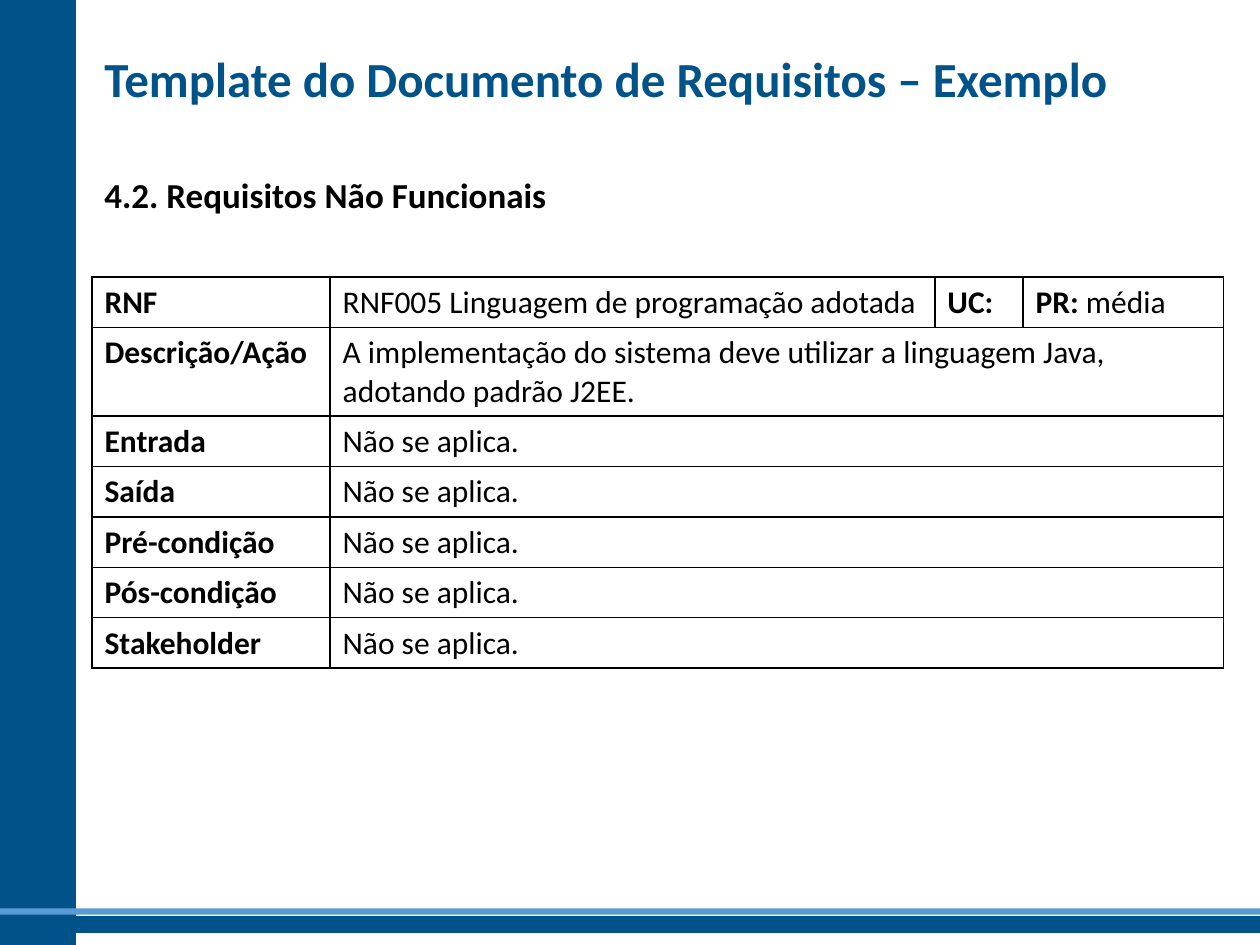
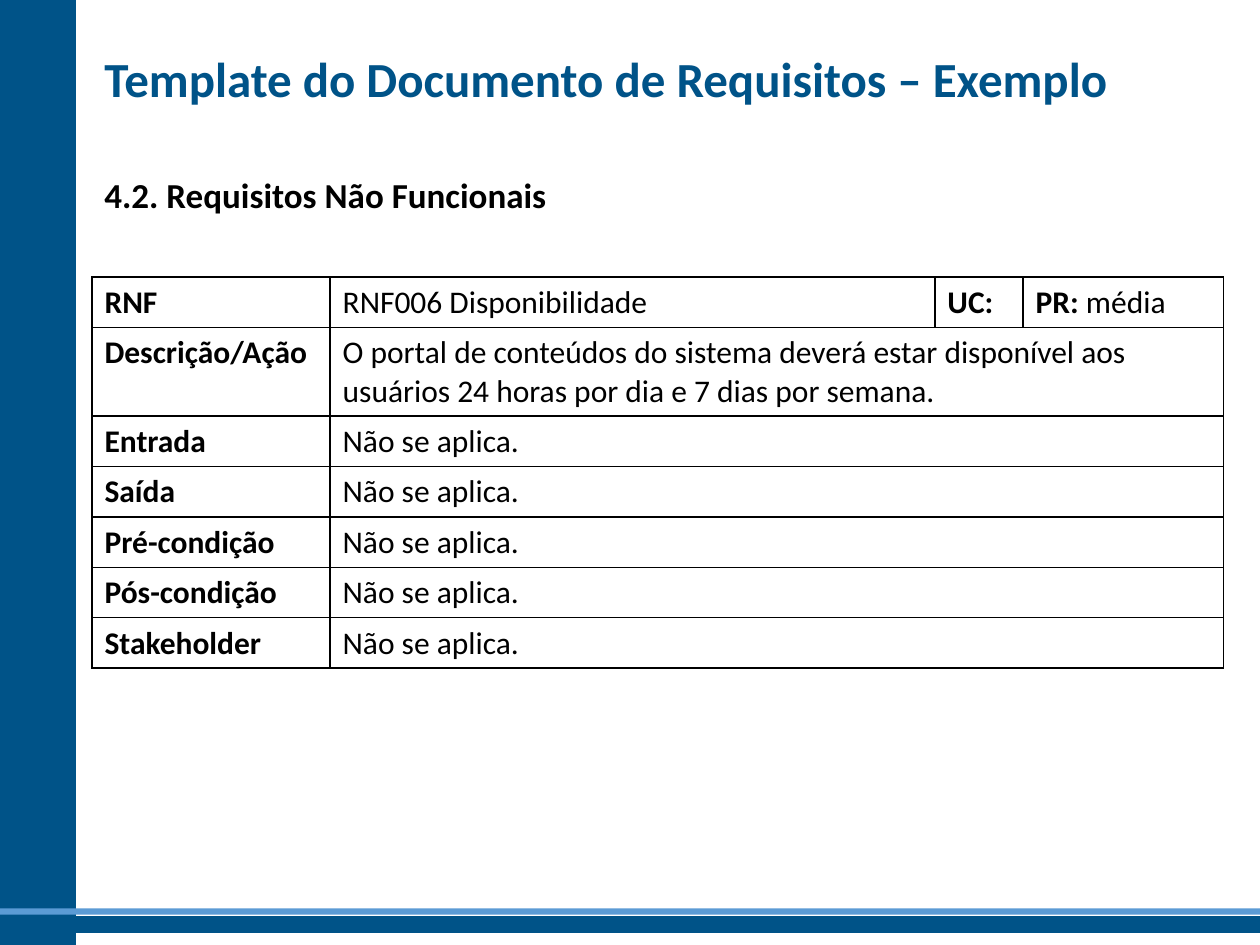
from lxml import etree
from pptx import Presentation
from pptx.dml.color import RGBColor
from pptx.enum.shapes import MSO_SHAPE
from pptx.enum.text import MSO_ANCHOR
from pptx.oxml.ns import qn
from pptx.util import Inches, Pt

RECT = MSO_SHAPE.RECTANGLE
TOP, MIDDLE = MSO_ANCHOR.TOP, MSO_ANCHOR.MIDDLE

# Content
TITLE = "Template do Documento de Requisitos – Exemplo"
HEAD = "4.2. Requisitos Não Funcionais"
NONE = "Não se aplica."
UNUSED = ["Entrada", "Saída", "Pré-condição", "Pós-condição", "Stakeholder"]
NEEDS = [
    ("RNF005 Linguagem de programação adotada",
     "A implementação do sistema deve utilizar a linguagem Java, "
     "adotando padrão J2EE."),
    ("RNF006 Disponibilidade",
     "O portal de conteúdos do sistema deverá estar disponível aos "
     "usuários 24 horas por dia e 7 dias por semana."),
]

# Shared style
FONT = "Calibri"
BLUE = RGBColor(0x00, 0x53, 0x88)
LIGHT = RGBColor(0x5B, 0x9B, 0xD5)
BLACK = RGBColor(0, 0, 0)
LEFT = 0.73
COLS = [1.89, 4.8, 0.7, 1.59]
ROW, TALL = 0.4, 0.7
BANDS = [  # left, top, width, height, fill, outlined
    (0, 0, 0.6, 7.5, BLUE, True),
    (0, 7.28, 10, 0.12, BLUE, True),
    (0, 7.21, 10, 0.05, LIGHT, False),
]


def add_run(para, text, size, bold, color=BLACK):
    run = para.add_run()
    run.text = text
    run.font.name = FONT
    run.font.size = Pt(size)
    run.font.bold = bold
    run.font.color.rgb = color


def add_band(slide, left, top, width, height, color, lined):
    band = slide.shapes.add_shape(
        RECT, Inches(left), Inches(top), Inches(width), Inches(height))
    band.shadow.inherit = False
    band.fill.solid()
    band.fill.fore_color.rgb = color
    if lined:
        band.line.color.rgb = color
        band.line.width = Pt(1)
    else:
        band.line.fill.background()


def add_text(slide, text, top, width, height, size, color, anchor):
    box = slide.shapes.add_textbox(
        Inches(LEFT), Inches(top), Inches(width), Inches(height))
    frame = box.text_frame
    frame.word_wrap = True
    frame.vertical_anchor = anchor
    add_run(frame.paragraphs[0], text, size, True, color)
    return frame.paragraphs[0]


def style_cell(cell):
    # Borders come before the fill in the cell properties
    props = cell._tc.get_or_add_tcPr()
    for side in ("a:lnL", "a:lnR", "a:lnT", "a:lnB"):
        line = etree.SubElement(props, qn(side), w=str(Pt(1)))
        fill = etree.SubElement(line, qn("a:solidFill"))
        etree.SubElement(fill, qn("a:srgbClr"), val=str(BLACK))
    cell.fill.background()


def add_grid(slide, name, action):
    # Each cell is a list of (text, bold) runs
    rows = [[[("RNF", True)], [(name, False)], [("UC:", True)],
             [("PR:", True), (" média", False)]]]
    pairs = [("Descrição/Ação", action)] + [(key, NONE) for key in UNUSED]
    rows += [[[(key, True)], [(value, False)]] for key, value in pairs]

    highs = [ROW, TALL] + [ROW] * len(UNUSED)
    table = slide.shapes.add_table(
        len(rows), len(COLS), Inches(LEFT), Inches(2.2),
        Inches(sum(COLS)), Inches(sum(highs))).table
    table.first_row = table.horz_banding = False
    for col, width in zip(table.columns, COLS):
        col.width = Inches(width)
    for row, high in zip(table.rows, highs):
        row.height = Inches(high)

    for cell in table.iter_cells():
        style_cell(cell)
    for r, row in enumerate(rows):
        if len(row) < len(COLS):
            table.cell(r, 1).merge(table.cell(r, len(COLS) - 1))
        for c, runs in enumerate(row):
            para = table.cell(r, c).text_frame.paragraphs[0]
            for text, bold in runs:
                add_run(para, text, 18, bold)


def main():
    deck = Presentation()
    deck.slide_width, deck.slide_height = Inches(10), Inches(7.5)
    for name, action in NEEDS:
        slide = deck.slides.add_slide(deck.slide_layouts[6])
        for band in BANDS:
            add_band(slide, *band)
        title = add_text(slide, TITLE, 0.2, 9.27, 0.9, 28, BLUE, MIDDLE)
        title.line_spacing = 0.9
        add_text(slide, HEAD, 1.33, 8.99, 0.44, 20, BLACK, TOP)
        add_grid(slide, name, action)
    deck.save("out.pptx")


if __name__ == "__main__":
    main()
